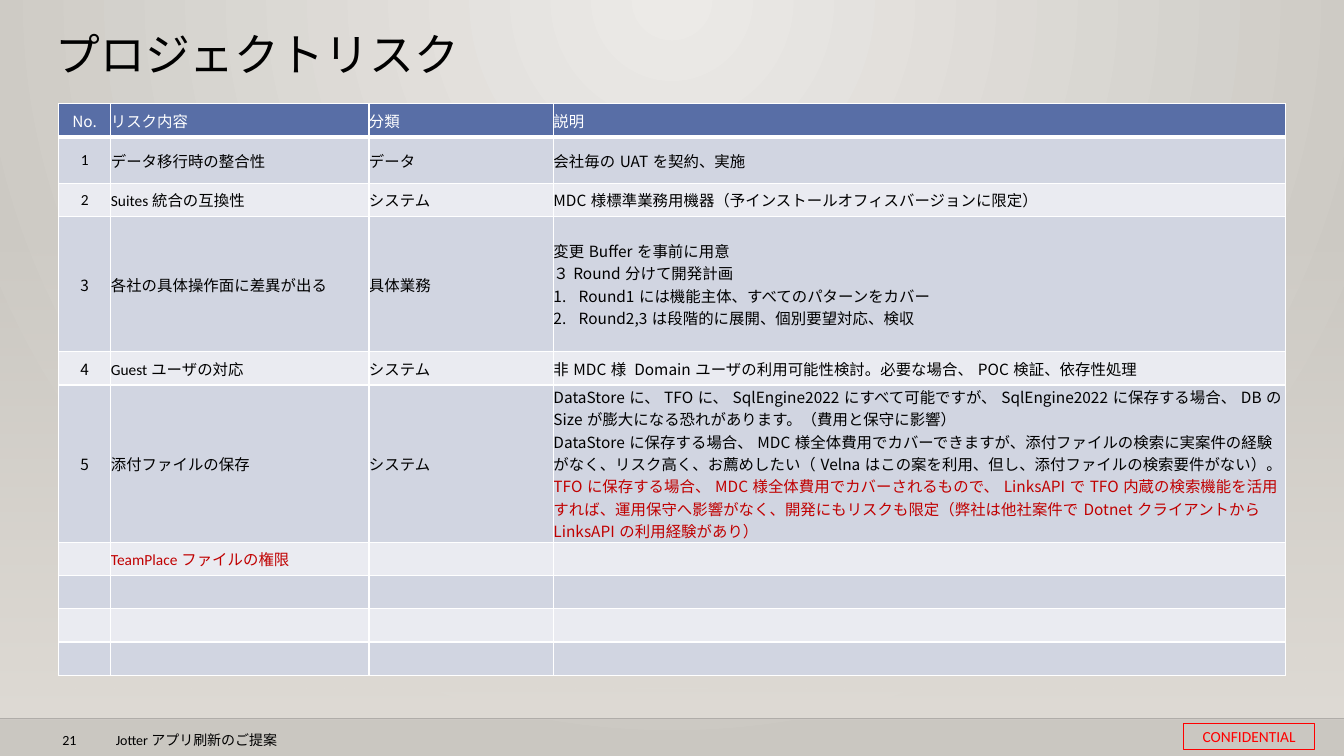
from pptx import Presentation
from pptx.dml.color import RGBColor as RGB
from pptx.enum.shapes import MSO_CONNECTOR as CONN, MSO_SHAPE as SHAPE
from pptx.enum.text import MSO_ANCHOR as ANCHOR, MSO_AUTO_SIZE as AUTO, PP_ALIGN as ALIGN
from pptx.oxml import parse_xml
from pptx.oxml.ns import qn
from pptx.util import Inches, Pt
from lxml.etree import SubElement

NS = ('xmlns:a="http://schemas.openxmlformats.org/drawingml/2006/main" '
      'xmlns:p="http://schemas.openxmlformats.org/presentationml/2006/main"')
COLORS = {
    "black": "000000", "white": "FFFFFF", "red": "FF0000", "alert": "C00000",
    "header": "586EA6", "odd": "D1D5E1", "even": "EAEBF1",
    "glow": "ECEAE7", "edge": "CAC7C1", "floor": "DFDBD5", "rule": "000001",
}
LATIN, CJK = "Calibri", "Noto Sans CJK JP"

HEADER = ["No.", "リスク内容", "分類", "説明"]
# Number, risk, category, paragraphs of the description
RISKS = [
    ("1", "データ移行時の整合性", "データ", ["会社毎のUATを契約、実施"]),
    ("2", "Suites統合の互換性", "システム",
     ["MDC様標準業務用機器（予インストールオフィスバージョンに限定）"]),
    ("3", "各社の具体操作面に差異が出る", "具体業務",
     ["変更Bufferを事前に用意", "３Round分けて開発計画",
      "Round1には機能主体、すべてのパターンをカバー",
      "Round2,3は段階的に展開、個別要望対応、検収"]),
    ("4", "Guestユーザの対応", "システム",
     ["非MDC様 Domainユーザの利用可能性検討。必要な場合、POC検証、依存性処理"]),
    ("5", "添付ファイルの保存", "システム",
     ["DataStoreに、TFOに、SqlEngine2022にすべて可能ですが、SqlEngine2022に保存する場合、"
      "DBのSizeが膨大になる恐れがあります。（費用と保守に影響）",
      "DataStoreに保存する場合、MDC様全体費用でカバーできますが、添付ファイルの検索に実案件の"
      "経験がなく、リスク高く、お薦めしたい（Velnaはこの案を利用、但し、添付ファイルの検索要件がない）。",
      "TFOに保存する場合、MDC様全体費用でカバーされるもので、LinksAPIでTFO内蔵の検索機能を"
      "活用すれば、運用保守へ影響がなく、開発にもリスクも限定（弊社は他社案件でDotnetクライアントから"
      "LinksAPIの利用経験があり）"]),
    ("", "TeamPlaceファイルの権限", "", [""]),
]
EMPTY_ROWS = 3
COL_WIDTHS = [0.52, 2.56, 1.83, 7.26]
ROW_HEIGHT = 0.33
TALL_ROWS = {1: 0.46, 3: 1.34, 5: 1.56}


class Deck:
    def __init__(self, prs):
        self.slide = prs.slides.add_slide(prs.slide_layouts[5])
        self.shapes = self.slide.shapes

    def format(self, p, size, color="black", font=LATIN, align=ALIGN.LEFT):
        p.alignment = align
        for r in p.runs:
            r.font.size, r.font.name = Pt(size), font
            r.font.color.rgb = RGB.from_string(COLORS[color])
            SubElement(r.font._element, qn("a:ea")).set("typeface", CJK)

    def background(self):
        bg = parse_xml(
            f'<p:bg {NS}><p:bgPr><a:gradFill rotWithShape="1"><a:gsLst>'
            f'<a:gs pos="0"><a:srgbClr val="{COLORS["glow"]}"/></a:gs>'
            f'<a:gs pos="100000"><a:srgbClr val="{COLORS["edge"]}"/></a:gs></a:gsLst>'
            '<a:path path="circle"><a:fillToRect l="43000" r="43000" b="100000"/></a:path>'
            '</a:gradFill><a:effectLst/></p:bgPr></p:bg>')
        self.slide._element.cSld.insert(0, bg)

    def rect(self, x, y, w, h):
        sp = self.shapes.add_shape(SHAPE.RECTANGLE, Inches(x), Inches(y), Inches(w), Inches(h))
        sp.shadow.inherit = False
        sp.fill.background()
        sp.line.fill.background()
        return sp

    def fade(self, x, y, w, h):
        sp = self.rect(x, y, w, h)
        grad = parse_xml(
            f'<a:gradFill {NS}><a:gsLst>'
            f'<a:gs pos="0"><a:srgbClr val="{COLORS["floor"]}"><a:alpha val="0"/></a:srgbClr></a:gs>'
            f'<a:gs pos="100000"><a:srgbClr val="{COLORS["floor"]}"/></a:gs></a:gsLst>'
            '<a:lin ang="5400000" scaled="0"/></a:gradFill>')
        props = sp._element.spPr
        props.replace(props.find(qn("a:noFill")), grad)

    def rule(self, y, width):
        ln = self.shapes.add_connector(CONN.STRAIGHT, 0, Inches(y), Inches(width), Inches(y))
        ln.line.width = Pt(1)
        ln.line.color.rgb = RGB.from_string(COLORS["rule"])
        color = ln._element.spPr.find(".//" + qn("a:srgbClr"))
        SubElement(color, qn("a:alpha")).set("val", "20000")
        SubElement(ln._element.spPr, qn("a:effectLst"))

    def text(self, text, x, y, w, h):
        tf = self.shapes.add_textbox(Inches(x), Inches(y), Inches(w), Inches(h)).text_frame
        tf.word_wrap = True
        tf.text = text
        self.format(tf.paragraphs[0], 10)

    def stamp(self, text, x, y, w, h):
        sp = self.rect(x, y, w, h)
        sp.line.color.rgb = RGB.from_string(COLORS["red"])
        sp.line.width = Pt(0.75)
        tf = sp.text_frame
        tf.margin_left = tf.margin_right = tf.margin_top = tf.margin_bottom = Inches(0.04)
        tf.vertical_anchor = ANCHOR.MIDDLE
        tf.auto_size = AUTO.SHAPE_TO_FIT_TEXT
        tf.text = text
        self.format(tf.paragraphs[0], 11, "red", align=ALIGN.CENTER)

    def title(self, text, x, y, w, h):
        sp = self.shapes.title
        sp.left, sp.top, sp.width, sp.height = Inches(x), Inches(y), Inches(w), Inches(h)
        tf = sp.text_frame
        tf.vertical_anchor = ANCHOR.TOP
        tf.text = text
        tf.paragraphs[0].line_spacing = 0.9
        self.format(tf.paragraphs[0], 32)

    def cell(self, cell, lines, fill, color, font, align, borders):
        cell.margin_left = cell.margin_right = cell.margin_top = cell.margin_bottom = 0
        cell.vertical_anchor = ANCHOR.MIDDLE
        cell.fill.solid()
        cell.fill.fore_color.rgb = RGB.from_string(COLORS[fill])
        for i, (side, pt) in enumerate(borders.items()):
            cell._tc.tcPr.insert(i, parse_xml(
                f'<a:ln{side} {NS} w="{Pt(pt)}"><a:solidFill>'
                f'<a:srgbClr val="{COLORS["white"]}"/></a:solidFill></a:ln{side}>'))
        cell.text_frame.text = "\n".join(lines)
        for p in cell.text_frame.paragraphs:
            self.format(p, 11, color, font, align)

    def number(self, p):
        props = p._p.get_or_add_pPr()
        props.set("marL", str(Inches(0.25)))
        props.set("indent", str(-Inches(0.25)))
        SubElement(props, qn("a:buFont")).set("typeface", "+mj-lt")
        SubElement(props, qn("a:buAutoNum")).set("type", "arabicPeriod")

    def table(self, rows, x, y):
        heights = [TALL_ROWS.get(i, ROW_HEIGHT) for i in range(len(rows))]
        frame = self.shapes.add_table(len(rows), len(COL_WIDTHS), Inches(x), Inches(y),
                                      Inches(sum(COL_WIDTHS)), Inches(sum(heights)))
        table = frame.table
        for col, width in zip(table.columns, COL_WIDTHS):
            col.width = Inches(width)
        for i, (row, height) in enumerate(zip(rows, heights)):
            table.rows[i].height = Inches(height)
            fill = "header" if i == 0 else "odd" if i % 2 else "even"
            borders = {"L": 1, "R": 1, "T": 3 if i == 1 else 1, "B": 3 if i == 0 else 1}
            for j, lines in enumerate(row):
                cjk = j == 3 or (j == 0 and i not in (1, 2))
                color = "white" if i == 0 else "alert" if i > 5 else "black"
                self.cell(table.cell(i, j), lines, fill, color, CJK if cjk else LATIN,
                          ALIGN.LEFT if j else ALIGN.CENTER, borders)
        return table


def main():
    prs = Presentation()
    prs.slide_width, prs.slide_height = Inches(13.33), Inches(7.5)
    deck = Deck(prs)

    # Background and footer
    deck.background()
    deck.fade(0, 2.21, 13.33, 4.93)
    deck.rule(7.13, 13.33)
    deck.text("21", 0.52, 7.21, 0.4, 0.19)
    deck.text("Jotterアプリ刷新のご提案", 1.05, 7.21, 5.67, 0.19)
    deck.stamp("CONFIDENTIAL", 11.74, 7.18, 1.3, 0.26)

    # Title
    deck.title("プロジェクトリスク", 0.45, 0.28, 10.2, 0.75)

    # Risk table
    rows = [[[label] for label in HEADER]]
    rows += [[[no], [risk], [kind], notes] for no, risk, kind, notes in RISKS]
    rows += [[[""]] * len(HEADER)] * EMPTY_ROWS
    table = deck.table(rows, 0.58, 1.03)

    # Numbered rounds and the recommended storage
    for p in table.cell(3, 3).text_frame.paragraphs[2:]:
        deck.number(p)
    for r in table.cell(5, 3).text_frame.paragraphs[-1].runs:
        r.font.color.rgb = RGB.from_string(COLORS["alert"])

    prs.save("out.pptx")


if __name__ == "__main__":
    main()
